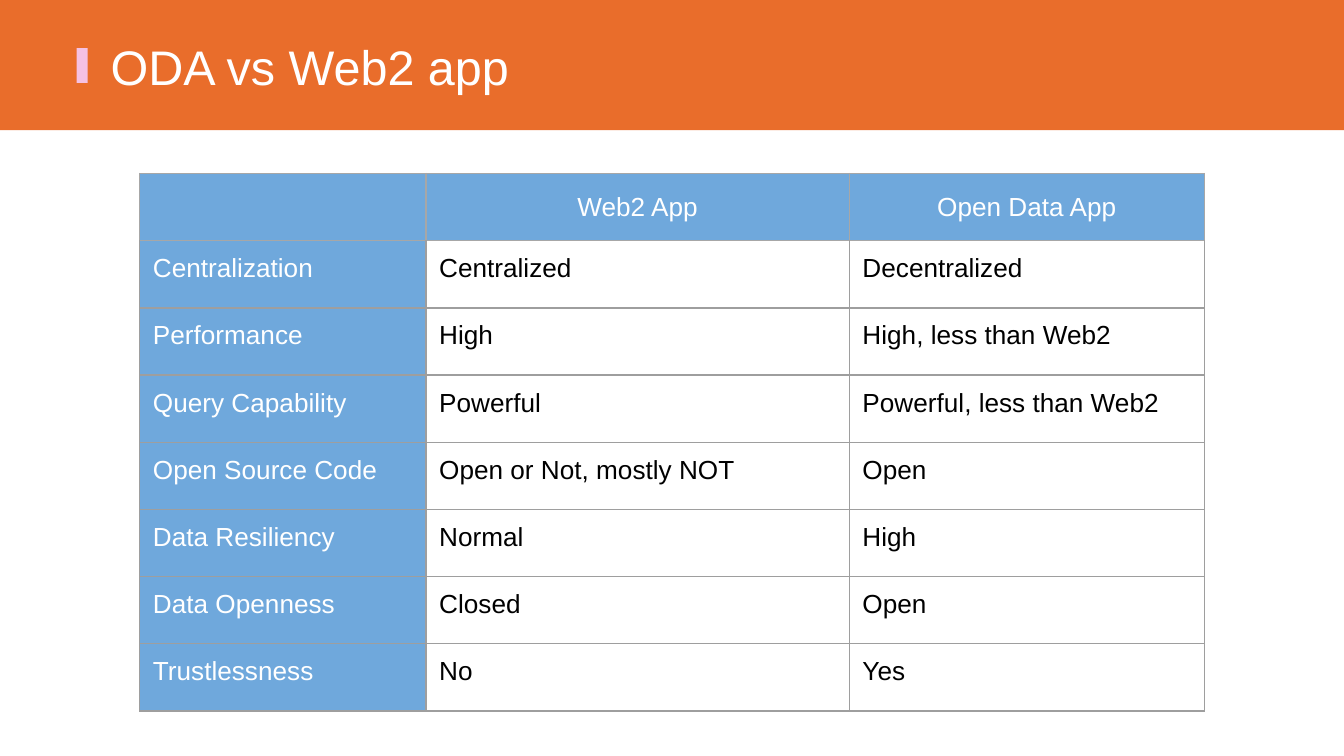
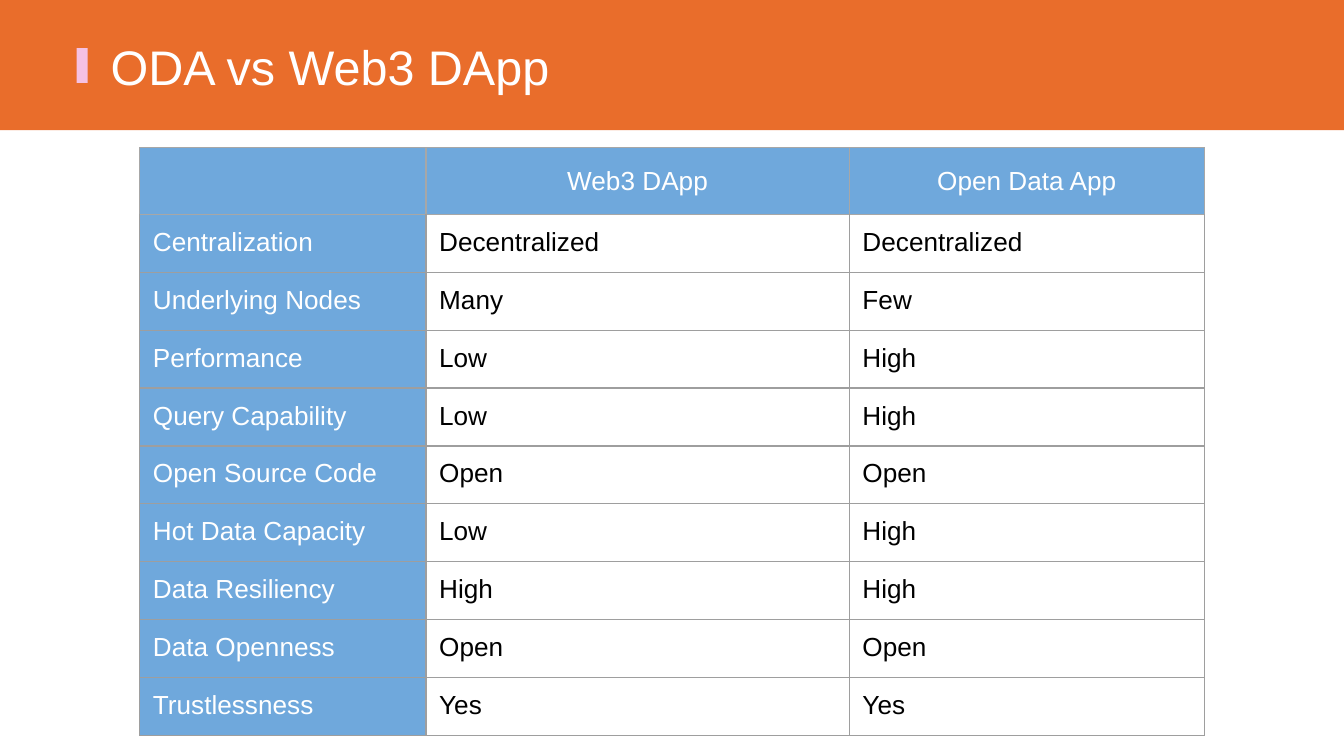
"""Build two slides that compare an Open Data App with Web2 and Web3 apps."""
from dataclasses import dataclass

from lxml.etree import SubElement
from pptx import Presentation
from pptx.dml.color import RGBColor
from pptx.enum.shapes import MSO_SHAPE
from pptx.enum.text import MSO_ANCHOR, MSO_AUTO_SIZE, PP_ALIGN
from pptx.oxml.ns import qn
from pptx.slide import Slide
from pptx.table import _Cell
from pptx.text.text import TextFrame
from pptx.util import Cm, Pt

FONT = "Arial"
ORANGE = "E96D2B"
PINK = "F5C1E3"
BLUE = "6FA8DC"
WHITE = "FFFFFF"
BLACK = "000000"
HEADER_RULE = "A7A7A7"
BODY_RULE = "9E9E9E"

SLIDE_WIDTH = Cm(25.4)
SLIDE_HEIGHT = Cm(14.29)
COLUMN_WIDTHS = (Cm(5.41), Cm(8), Cm(6.71))
TABLE_LEFT = Cm(2.64)
RULE_WIDTH = Pt(0.75)
TITLE_ONLY = 5


@dataclass(frozen=True)
class Block:
    """A plain coloured rectangle of the title band."""

    left: Cm
    top: Cm
    width: Cm
    height: Cm
    fill: str


@dataclass(frozen=True)
class Comparison:
    """The content of one slide: its title and its table."""

    title: str
    top: Cm
    row_height: Cm
    rows: tuple[tuple[str, str, str], ...]


BAND_BLOCKS = (
    Block(Cm(0), Cm(0), SLIDE_WIDTH, Cm(2.46), ORANGE),
    Block(Cm(1.45), Cm(0.91), Cm(0.21), Cm(0.66), PINK),
)

COMPARISONS = (
    Comparison(
        "ODA vs Web2 app",
        Cm(3.28),
        Cm(1.27),
        (
            ("", "Web2 App", "Open Data App"),
            ("Centralization", "Centralized", "Decentralized"),
            ("Performance", "High", "High, less than Web2"),
            ("Query Capability", "Powerful", "Powerful, less than Web2"),
            ("Open Source Code", "Open or Not, mostly NOT", "Open"),
            ("Data Resiliency", "Normal", "High"),
            ("Data Openness", "Closed", "Open"),
            ("Trustlessness", "No", "Yes"),
        ),
    ),
    Comparison(
        "ODA vs Web3 DApp",
        Cm(2.79),
        Cm(0.94),
        (
            ("", "Web3 DApp", "Open Data App"),
            ("Centralization", "Decentralized", "Decentralized"),
            ("Underlying Nodes", "Many", "Few"),
            ("Performance", "Low", "High"),
            ("Query Capability", "Low", "High"),
            ("Open Source Code", "Open", "Open"),
            ("Hot Data Capacity", "Low", "High"),
            ("Data Resiliency", "High", "High"),
            ("Data Openness", "Open", "Open"),
            ("Trustlessness", "Yes", "Yes"),
        ),
    ),
)


def color(value: str) -> RGBColor:
    """Turn a hex string into a colour."""
    return RGBColor.from_string(value)


def write(frame: TextFrame, text: str, size: int, tint: str, align: PP_ALIGN) -> None:
    """Set the text of a frame and format its only paragraph."""
    frame.text = text
    paragraph = frame.paragraphs[0]
    paragraph.alignment = align
    for run in paragraph.runs:
        run.font.name = FONT
        run.font.size = Pt(size)
        run.font.color.rgb = color(tint)


def draw_block(slide: Slide, block: Block) -> None:
    """Draw one rectangle of the title band."""
    rectangle = slide.shapes.add_shape(
        MSO_SHAPE.RECTANGLE, block.left, block.top, block.width, block.height
    )
    rectangle.shadow.inherit = False
    rectangle.fill.solid()
    rectangle.fill.fore_color.rgb = color(block.fill)
    rectangle.line.fill.background()


def draw_title(slide: Slide, text: str) -> None:
    """Place the title placeholder in front of the band."""
    title = slide.shapes.title
    title.left, title.top = Cm(1.96), Cm(0.56)
    title.width, title.height = Cm(18.67), Cm(1.37)
    title.element.getparent().append(title.element)
    frame = title.text_frame
    write(frame, text, 26, WHITE, PP_ALIGN.LEFT)
    frame.margin_left = frame.margin_right = Cm(0.13)
    frame.margin_top = frame.margin_bottom = Cm(0.13)
    frame.vertical_anchor = MSO_ANCHOR.MIDDLE
    frame.word_wrap = True
    frame.auto_size = MSO_AUTO_SIZE.SHAPE_TO_FIT_TEXT


def draw_borders(cell: _Cell, row: int) -> None:
    """Rule the four sides of a cell, with the header tone around the header."""
    properties = cell._tc.get_or_add_tcPr()
    for side in ("L", "R", "T", "B"):
        in_header = row == 0 or (row == 1 and side == "T")
        rule = SubElement(properties, qn(f"a:ln{side}"), w=str(RULE_WIDTH))
        fill = SubElement(rule, qn("a:solidFill"))
        SubElement(fill, qn("a:srgbClr"), val=HEADER_RULE if in_header else BODY_RULE)


def draw_cell(cell: _Cell, text: str, row: int, column: int) -> None:
    """Write and format one table cell."""
    is_header = row == 0
    is_label = is_header or column == 0
    write(
        cell.text_frame,
        text,
        14,
        WHITE if is_label else BLACK,
        PP_ALIGN.CENTER if is_header else PP_ALIGN.LEFT,
    )
    cell.margin_left = cell.margin_right = Cm(0.25)
    cell.margin_top = cell.margin_bottom = Cm(0.25)
    cell.vertical_anchor = MSO_ANCHOR.MIDDLE if is_header else MSO_ANCHOR.TOP
    draw_borders(cell, row)
    if is_label:
        cell.fill.solid()
        cell.fill.fore_color.rgb = color(BLUE)
    else:
        cell.fill.background()


def draw_table(slide: Slide, comparison: Comparison) -> None:
    """Draw the comparison table."""
    count = len(comparison.rows)
    table = slide.shapes.add_table(
        count,
        len(COLUMN_WIDTHS),
        TABLE_LEFT,
        comparison.top,
        sum(COLUMN_WIDTHS),
        comparison.row_height * count,
    ).table
    table.first_row = table.horz_banding = False
    for column, width in zip(table.columns, COLUMN_WIDTHS):
        column.width = width
    for row, texts in enumerate(comparison.rows):
        for column, text in enumerate(texts):
            draw_cell(table.cell(row, column), text, row, column)


def main() -> None:
    """Build and save the presentation."""
    deck = Presentation()
    deck.slide_width, deck.slide_height = SLIDE_WIDTH, SLIDE_HEIGHT
    for comparison in COMPARISONS:
        slide = deck.slides.add_slide(deck.slide_layouts[TITLE_ONLY])
        for block in BAND_BLOCKS:
            draw_block(slide, block)
        draw_title(slide, comparison.title)
        draw_table(slide, comparison)
    deck.save("out.pptx")


if __name__ == "__main__":
    main()
